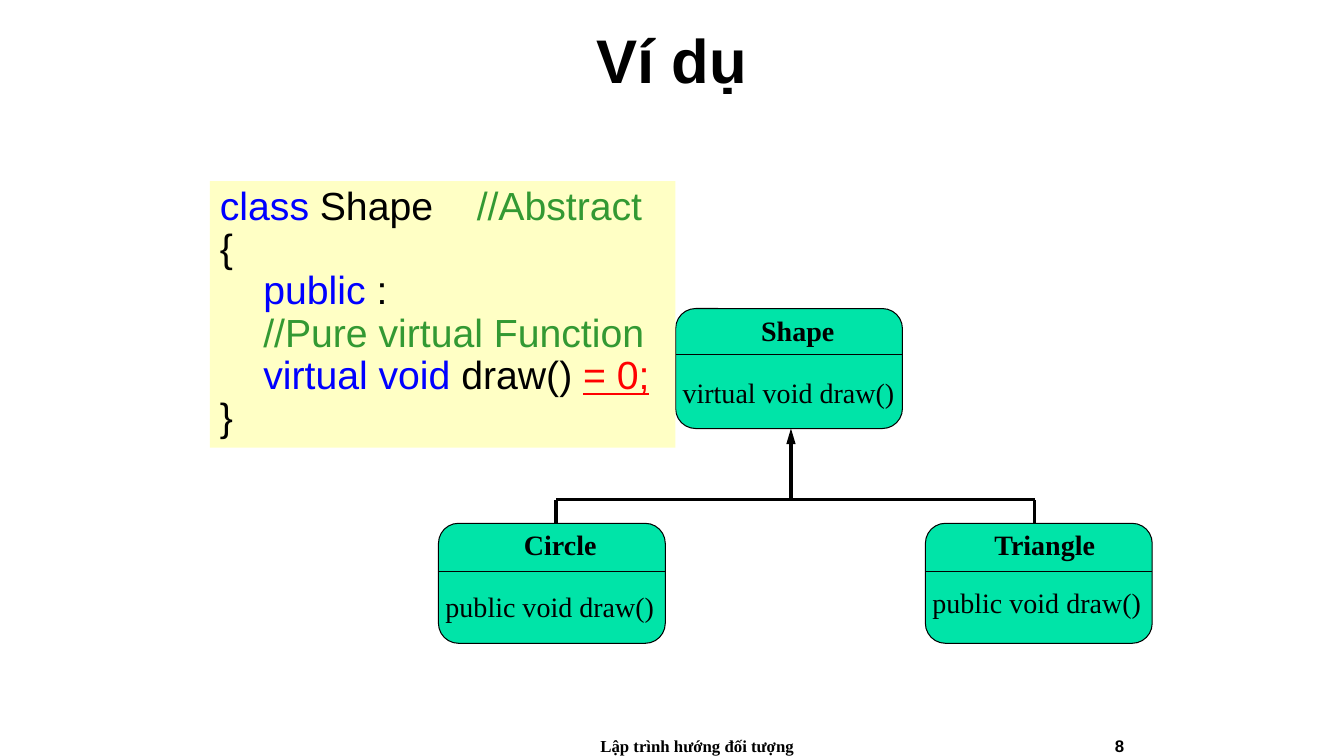
"""Build a slide on a pure virtual function and the classes that override it."""
import pptx
import pptx.util
import pptx.dml.color
import pptx.enum.shapes
import pptx.enum.text
import pptx.oxml.ns

Pt = pptx.util.Pt
RGB = pptx.dml.color.RGBColor
Kind = pptx.enum.shapes.MSO_SHAPE
Line = pptx.enum.shapes.MSO_CONNECTOR
Align = pptx.enum.text.PP_ALIGN
Anchor = pptx.enum.text.MSO_ANCHOR

BLACK = RGB(0, 0, 0)
BLUE = RGB(0, 0, 255)
GREEN = RGB(0x33, 0x99, 0x33)
RED = RGB(255, 0, 0)
MINT = RGB(0, 0xE4, 0xA8)
CREAM = RGB(255, 255, 0xC5)
SANS, SERIF = "Arial", "Times New Roman"

HEADS = [
    dict(text="Ví dụ", box=(120, 0, 720, 84), face=SANS, size=44,
         align=Align.CENTER, anchor=Anchor.MIDDLE),
    dict(text="Lập trình hướng đối tượng", box=(384, 522, 228, 18),
         face=SERIF, size=12, align=Align.CENTER),
    dict(text="8", box=(642, 522, 168, 18), face=SANS, size=12, align=Align.RIGHT),
]
CODE = [
    [("class", BLUE), (" Shape\t", BLACK), ("//Abstract", GREEN)],
    [("{", BLACK)],
    [("    ", BLACK), ("public ", BLUE), (":", BLACK)],
    [("    //Pure virtual Function", GREEN)],
    [("    ", BLACK), ("virtual void", BLUE), (" draw() ", BLACK), ("= 0;", RED)],
    [("}", BLACK)],
]
NODES = [
    dict(name="Shape", method="virtual void draw()", left=482.6, top=220.4,
         indent=54, span=70.6, split=33, drop=44.6),
    dict(name="Circle", method="public void draw()", left=313.2, top=373.8,
         indent=54, span=70.6, split=34.5, drop=43.9),
    dict(name="Triangle", method="public void draw()", left=661, top=373.8,
         indent=42.2, span=96, split=34.5, drop=41),
]
CODE_BOX = (150, 129.4, 332.4, 190.4)
CODE_TAB = 183.5
WIDTH, HIGH, ROW = 162, 85.7, 31.5
BAR, STUBS, SHAFT = 357.1, (397.2, 739.2), 565
THIN, THICK = 0.75, 2.25
SIDE, INDENT = 7.2, 5

deck = pptx.Presentation()
deck.slide_width, deck.slide_height = Pt(960), Pt(540)
slide = deck.slides.add_slide(deck.slide_layouts[6])
shapes = slide.shapes


def apply(item, values):
    for name, value in values.items():
        setattr(item, name, value)


def add_xml(parent, tag, **values):
    child = parent.makeelement(pptx.oxml.ns.qn(tag), values)
    parent.append(child)
    return child


def write(para, text, color, **style):
    run = para.add_run()
    run.text = text
    apply(run.font, style)
    run.font.color.rgb = color


def label(text, box, face, size, bold=True, align=Align.LEFT,
          anchor=Anchor.TOP, left=SIDE, right=SIDE):
    frame = shapes.add_textbox(*map(Pt, box)).text_frame
    apply(frame, dict(word_wrap=True, vertical_anchor=anchor,
                      margin_left=Pt(left), margin_right=Pt(right)))
    para = frame.paragraphs[0]
    para.alignment = align
    write(para, text, BLACK, name=face, size=Pt(size), bold=bold)


def block(kind, box, fill):
    shape = shapes.add_shape(kind, *map(Pt, box))
    shape.shadow.inherit = False
    shape.fill.solid()
    shape.fill.fore_color.rgb = fill
    return shape


def rule(start, end, width, arrow=False):
    line = shapes.add_connector(Line.STRAIGHT, *map(Pt, start + end))
    line.line.width = Pt(width)
    line.line.color.rgb = BLACK
    props = line._element.spPr
    if arrow:
        stroke = props.find(pptx.oxml.ns.qn("a:ln"))
        add_xml(stroke, "a:tailEnd", type="triangle", w="med", len="lg")
    add_xml(props, "a:effectLst")


def node(name, method, left, top, indent, span, split, drop):
    shape = block(Kind.FLOWCHART_ALTERNATE_PROCESS, (left, top, WIDTH, HIGH), MINT)
    shape.line.color.rgb = BLACK
    shape.line.width = Pt(THIN)
    label(name, (left + indent, top - 0.3, span, ROW), SERIF, 20)
    rule((left, top + split), (left + WIDTH, top + split), THIN)
    label(method, (left, top + drop, WIDTH, ROW), SERIF, 20, bold=False,
          left=INDENT, right=0)


def listing():
    shape = block(Kind.RECTANGLE, CODE_BOX, CREAM)
    shape.line.fill.background()
    frame = shape.text_frame
    apply(frame, dict(word_wrap=True, vertical_anchor=Anchor.TOP))
    for index, parts in enumerate(CODE):
        para = frame.add_paragraph() if index else frame.paragraphs[0]
        apply(para, dict(alignment=Align.LEFT, line_spacing=0.9))
        if index == 0:
            tabs = add_xml(para._p.get_or_add_pPr(), "a:tabLst")
            add_xml(tabs, "a:tab", pos=str(Pt(CODE_TAB)), algn="l")
        for text, color in parts:
            write(para, text, color, name=SANS, size=Pt(28), underline=color == RED)


for head in HEADS:
    label(**head)
for item in NODES:
    node(**item)
rule((STUBS[0], BAR), (STUBS[1], BAR), THICK)
for x in STUBS:
    rule((x, BAR), (x, NODES[1]["top"]), THICK)
rule((SHAFT, BAR), (SHAFT, NODES[0]["top"] + HIGH), THICK, arrow=True)
listing()
deck.save("out.pptx")
